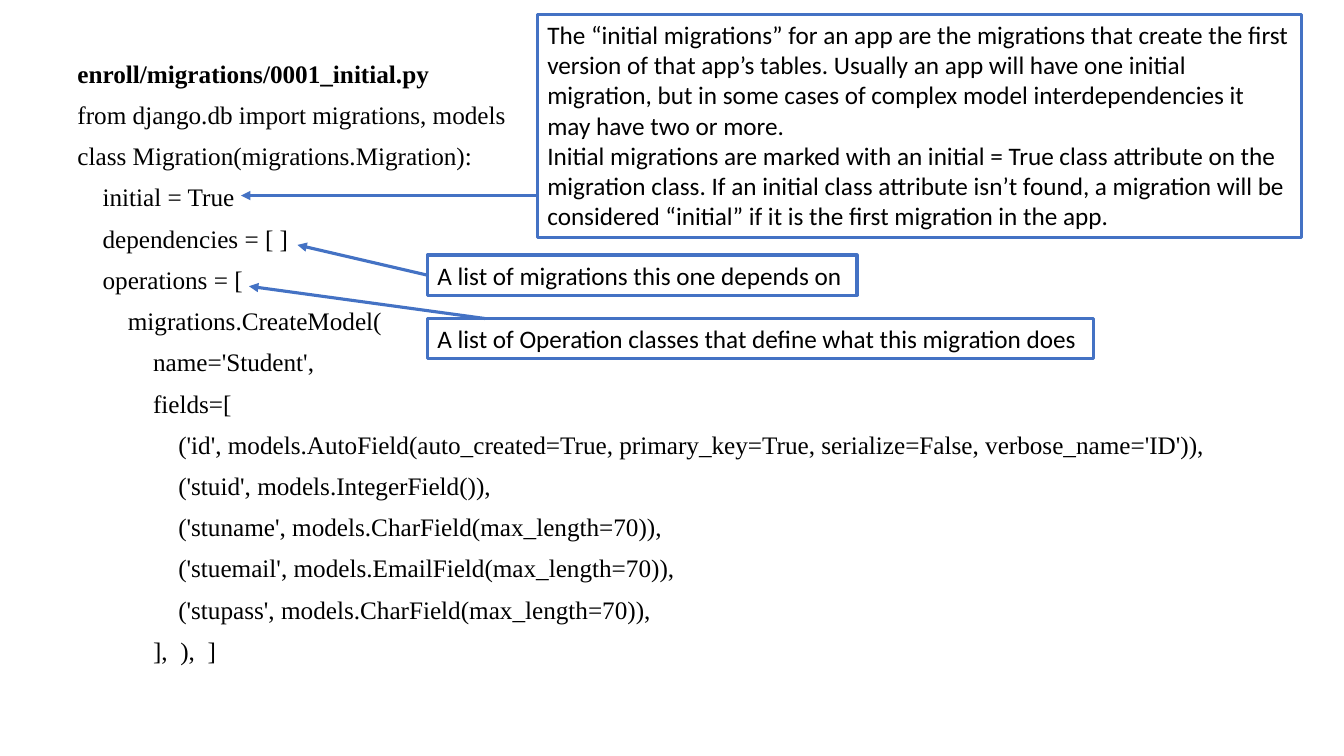
from lxml import etree
from pptx import Presentation
from pptx.dml.color import RGBColor
from pptx.enum.shapes import MSO_CONNECTOR, MSO_SHAPE
from pptx.enum.text import MSO_ANCHOR, MSO_AUTO_SIZE, PP_ALIGN
from pptx.oxml.ns import qn
from pptx.util import Inches, Pt

STRAIGHT = MSO_CONNECTOR.STRAIGHT
RECTANGLE = MSO_SHAPE.RECTANGLE
TOP = MSO_ANCHOR.TOP
GROW = MSO_AUTO_SIZE.SHAPE_TO_FIT_TEXT
LEFT = PP_ALIGN.LEFT

CODE_LINES = [
    (0, "from django.db import migrations, models"),
    (0, "class Migration(migrations.Migration):"),
    (1, "initial = True"),
    (1, "dependencies = [ ]"),
    (1, "operations = ["),
    (2, "migrations.CreateModel("),
    (3, "name='Student',"),
    (3, "fields=["),
    (4, "('id', models.AutoField(auto_created=True, primary_key=True, "
        "serialize=False, verbose_name='ID')),"),
    (4, "('stuid', models.IntegerField()),"),
    (4, "('stuname', models.CharField(max_length=70)),"),
    (4, "('stuemail', models.EmailField(max_length=70)),"),
    (4, "('stupass', models.CharField(max_length=70)),"),
    (3, "],  ),  ]"),
]

CALLOUTS = [
    ((4.24, 2.53, 4.26, 0.4), False,
     ["A list of migrations this one depends on"],
     (4.24, 2.73), (2.95, 2.43)),
    ((4.24, 3.16, 6.61, 0.4), False,
     ["A list of Operation classes that define what this migration does"],
     (4.81, 3.16), (2.47, 2.84)),
    ((5.33, 0.14, 7.58, 2.22), True,
     ["The “initial migrations” for an app are the migrations that create the "
      "first version of that app’s tables. Usually an app will have one initial "
      "migration, but in some cases of complex model interdependencies it may "
      "have two or more.",
      "Initial migrations are marked with an initial = True class attribute on "
      "the migration class. If an initial class attribute isn’t found, a "
      "migration will be considered “initial” if it is the first migration in "
      "the app."],
     (5.33, 1.94), (2.39, 1.94)),
]


def color(value):
    return RGBColor.from_string(value)


def apply(target, values):
    for name, value in values.items():
        setattr(target, name, value)


class SlideBuilder:
    accent = "4472C4"
    text_color = "000000"
    box_fill = "FFFFFF"
    code_font = "Times New Roman"
    callout_font = "Calibri"
    font_size = Pt(18)
    line_width = Pt(2.25)
    indent = Inches(0.25)
    code_spacing = {"line_spacing": 0.9, "space_before": Pt(10)}

    def __init__(self, slide):
        self.slide = slide

    def add_text(self, paragraph, text, font_name, bold=False):
        run = paragraph.add_run()
        run.text = text
        apply(run.font, {"name": font_name, "size": self.font_size, "bold": bold})
        run.font.color.rgb = color(self.text_color)

    def paragraphs(self, frame, count):
        return [frame.paragraphs[0]] + [frame.add_paragraph() for _ in range(count - 1)]

    def outline(self, line):
        line.color.rgb = color(self.accent)
        line.width = self.line_width

    def code(self, box, title, lines):
        frame = self.slide.shapes.add_textbox(*map(Inches, box)).text_frame
        frame.word_wrap = True
        entries = [(0, title)] + lines
        for paragraph, (level, text) in zip(self.paragraphs(frame, len(entries)), entries):
            apply(paragraph, self.code_spacing)
            properties = paragraph._p.get_or_add_pPr()
            properties.set("marL", str(level * self.indent))
            properties.set("indent", "0")
            self.add_text(paragraph, text, self.code_font, text == title)

    def callout(self, box, wrap, texts):
        shape = self.slide.shapes.add_shape(RECTANGLE, *map(Inches, box))
        shape.shadow.inherit = False
        shape.fill.solid()
        shape.fill.fore_color.rgb = color(self.box_fill)
        self.outline(shape.line)
        frame = shape.text_frame
        apply(frame, {"word_wrap": wrap, "auto_size": GROW, "vertical_anchor": TOP})
        for paragraph, text in zip(self.paragraphs(frame, len(texts)), texts):
            paragraph.alignment = LEFT
            self.add_text(paragraph, text, self.callout_font)

    def arrow(self, start, end):
        connector = self.slide.shapes.add_connector(STRAIGHT, *map(Inches, start + end))
        self.outline(connector.line)
        properties = connector._element.spPr
        line = properties.find(qn("a:ln"))
        etree.SubElement(line, qn("a:tailEnd")).set("type", "triangle")
        etree.SubElement(properties, qn("a:effectLst"))


presentation = Presentation()
presentation.slide_width = Inches(13.33)
presentation.slide_height = Inches(7.5)
builder = SlideBuilder(presentation.slides.add_slide(presentation.slide_layouts[6]))

builder.code((0.67, 0.56, 12, 6.8), "enroll/migrations/0001_initial.py", CODE_LINES)
for box, wrap, texts, start, end in CALLOUTS:
    builder.callout(box, wrap, texts)
    builder.arrow(start, end)

presentation.save("out.pptx")
